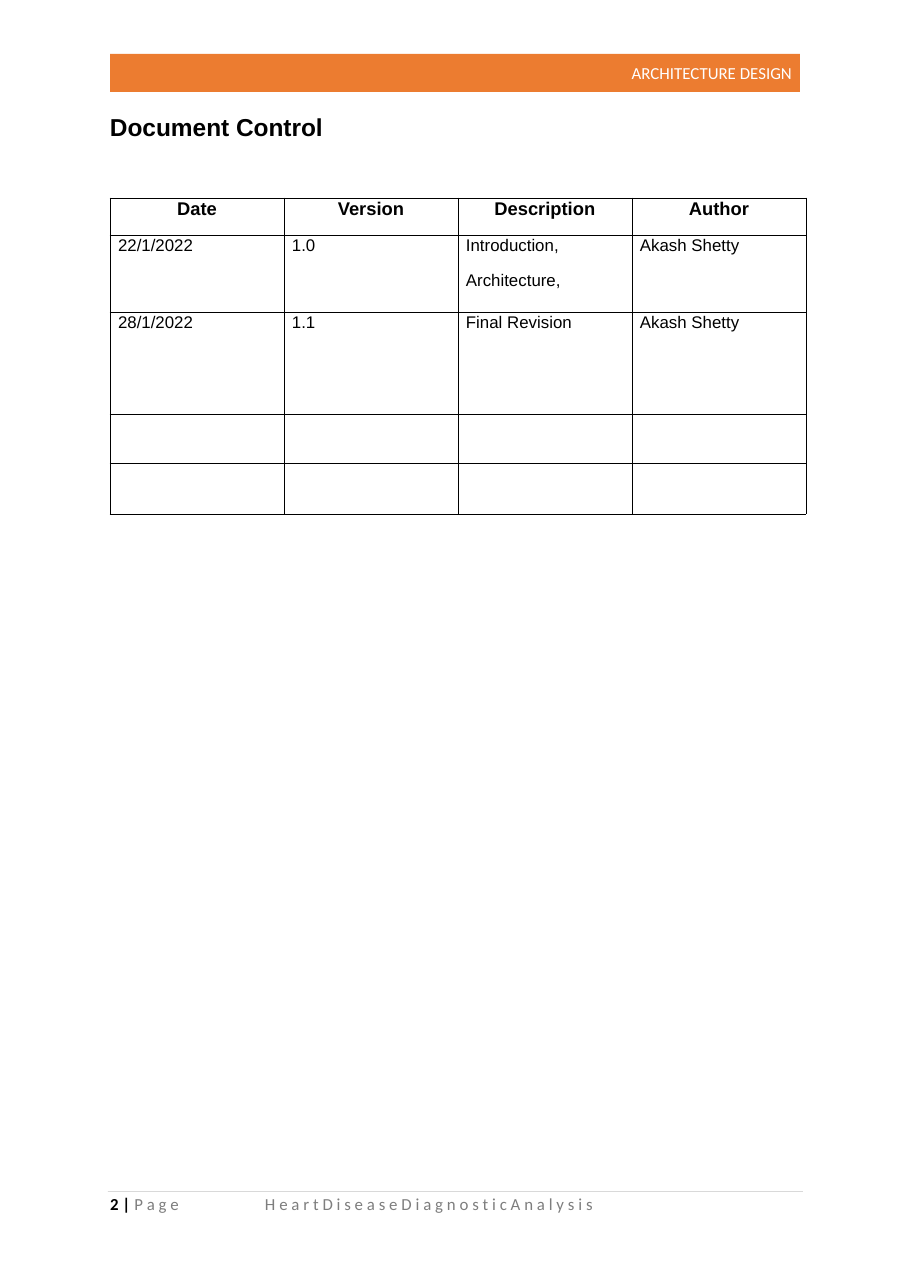
from lxml import etree
from pptx import Presentation
from pptx.dml.color import RGBColor
from pptx.enum.shapes import MSO_SHAPE
from pptx.enum.text import MSO_ANCHOR, PP_ALIGN
from pptx.oxml.ns import qn
from pptx.util import Emu, Pt

RECT = MSO_SHAPE.RECTANGLE
TOP, MIDDLE = MSO_ANCHOR.TOP, MSO_ANCHOR.MIDDLE
LEFT, CENTER, RIGHT = PP_ALIGN.LEFT, PP_ALIGN.CENTER, PP_ALIGN.RIGHT
PX = 8298
BLACK, GREY, WHITE = "000000", "7E7E7E", "FFFFFF"
HEADINGS = ["Date", "Version", "Description", "Author"]
REVISIONS = [
    ["22/1/2022", "1.0", "Introduction,\nArchitecture,", "Akash Shetty"],
    ["28/1/2022", "1.1", "Final Revision", "Akash Shetty"],
    [""] * 4,
    [""] * 4,
]
ROW_HEIGHTS = [37, 77, 102, 49, 51]


def px(n):
    """Turn px into EMU."""
    return Emu(round(n * PX))


def rgb(value):
    """Turn a hex string into a colour."""
    return RGBColor.from_string(value)


def set_format(target, values):
    """Set each named format value on the target."""
    for name, value in values.items():
        setattr(target, name, value)


def add_run(p, text, color, size=11, name="Calibri", bold=False):
    """Add one formatted run to a paragraph."""
    r = p.add_run()
    r.text = text
    set_format(r.font, {"size": Pt(size), "name": name, "bold": bold})
    r.font.color.rgb = rgb(color)


def set_frame(tf, right=0, anchor=TOP):
    """Wrap a text frame and give it its margins."""
    set_format(tf, {"word_wrap": True, "margin_left": 0, "margin_top": 0,
                    "margin_right": px(right), "margin_bottom": 0,
                    "vertical_anchor": anchor})


def add_bar(slide, x, y, w, h, color):
    """Draw a plain filled rectangle."""
    sp = slide.shapes.add_shape(RECT, px(x), px(y), px(w), px(h))
    sp.shadow.inherit = False
    sp.fill.solid()
    sp.fill.fore_color.rgb = rgb(color)
    sp.line.fill.background()
    return sp


def add_text(slide, x, y, w, h, runs, spacing=None):
    """Add a one-line text box made of runs."""
    tf = slide.shapes.add_textbox(px(x), px(y), px(w), px(h)).text_frame
    set_frame(tf)
    p = tf.paragraphs[0]
    p.line_spacing = spacing
    for run in runs:
        add_run(p, **run)


def add_header(slide, x, y, w, h):
    """Draw the banner with the document type at its right."""
    tf = add_bar(slide, x, y, w, h, "EC7C30").text_frame
    set_frame(tf, 8, MIDDLE)
    p = tf.paragraphs[0]
    p.alignment = RIGHT
    add_run(p, "ARCHITECTURE DESIGN", WHITE)


def add_title(slide, x, y, w, h):
    """Add the page heading."""
    add_text(slide, x, y, w, h, [{"text": "Document Control", "color": BLACK,
                                  "size": 16, "name": "Arial", "bold": True}])


def add_borders(cell):
    """Give a cell thin black lines on its four sides."""
    tc_pr = cell._tc.get_or_add_tcPr()
    for i, side in enumerate(["lnL", "lnR", "lnT", "lnB"]):
        ln = etree.Element(qn(f"a:{side}"), w=str(Pt(0.5)))
        fill = etree.SubElement(ln, qn("a:solidFill"))
        etree.SubElement(fill, qn("a:srgbClr"), val=BLACK)
        tc_pr.insert(i, ln)


def fill_cell(cell, text, heading):
    """Format one table cell and write its lines."""
    cell.fill.background()
    add_borders(cell)
    set_format(cell, {"margin_left": 0 if heading else px(8), "margin_right": 0,
                      "margin_top": 0, "margin_bottom": 0, "vertical_anchor": TOP})
    tf = cell.text_frame
    for i, line in enumerate(text.split("\n") if text else []):
        p = tf.add_paragraph() if i else tf.paragraphs[0]
        set_format(p, {"alignment": CENTER if heading else LEFT,
                       "line_spacing": Pt(13.9 if heading else 12.8),
                       "space_before": Pt(10.1 * i)})
        add_run(p, line, BLACK, 12 if heading else 11, "Arial", heading)


def add_revisions(slide, x, y, w):
    """Build the revision table with equal columns."""
    rows = [HEADINGS] + REVISIONS
    table = slide.shapes.add_table(len(rows), len(HEADINGS), px(x), px(y),
                                   px(w), px(sum(ROW_HEIGHTS))).table
    set_format(table, {"first_row": False, "horz_banding": False})
    for column in table.columns:
        column.width = px(w // len(HEADINGS))
    for i, (texts, height) in enumerate(zip(rows, ROW_HEIGHTS)):
        table.rows[i].height = px(height)
        for j, text in enumerate(texts):
            fill_cell(table.cell(i, j), text, i == 0)


def add_footer(slide, x, y, w):
    """Draw the footer rule, page number and project name."""
    add_bar(slide, x, y, w, 1, "D9D9D9")
    add_text(slide, x + 2, y + 5, 90, 20,
             [{"text": "2 | ", "color": BLACK, "bold": True},
              {"text": "P a g e", "color": GREY}], Pt(11.5))
    add_text(slide, x + 157, y + 5, 378, 20,
             [{"text": "H e a r t D i s e a s e D i a g n o s t i c A n a l y s i s",
               "color": GREY}], Pt(11.5))


def main():
    """Build the document control page."""
    prs = Presentation()
    set_format(prs, {"slide_width": px(910), "slide_height": px(1288)})
    slide = prs.slides.add_slide(prs.slide_layouts[6])
    add_header(slide, 110, 54, 690, 38)
    add_title(slide, 110, 112, 240, 32)
    add_revisions(slide, 110, 198, 696)
    add_footer(slide, 108, 1191, 695)
    prs.save("out.pptx")


if __name__ == "__main__":
    main()
